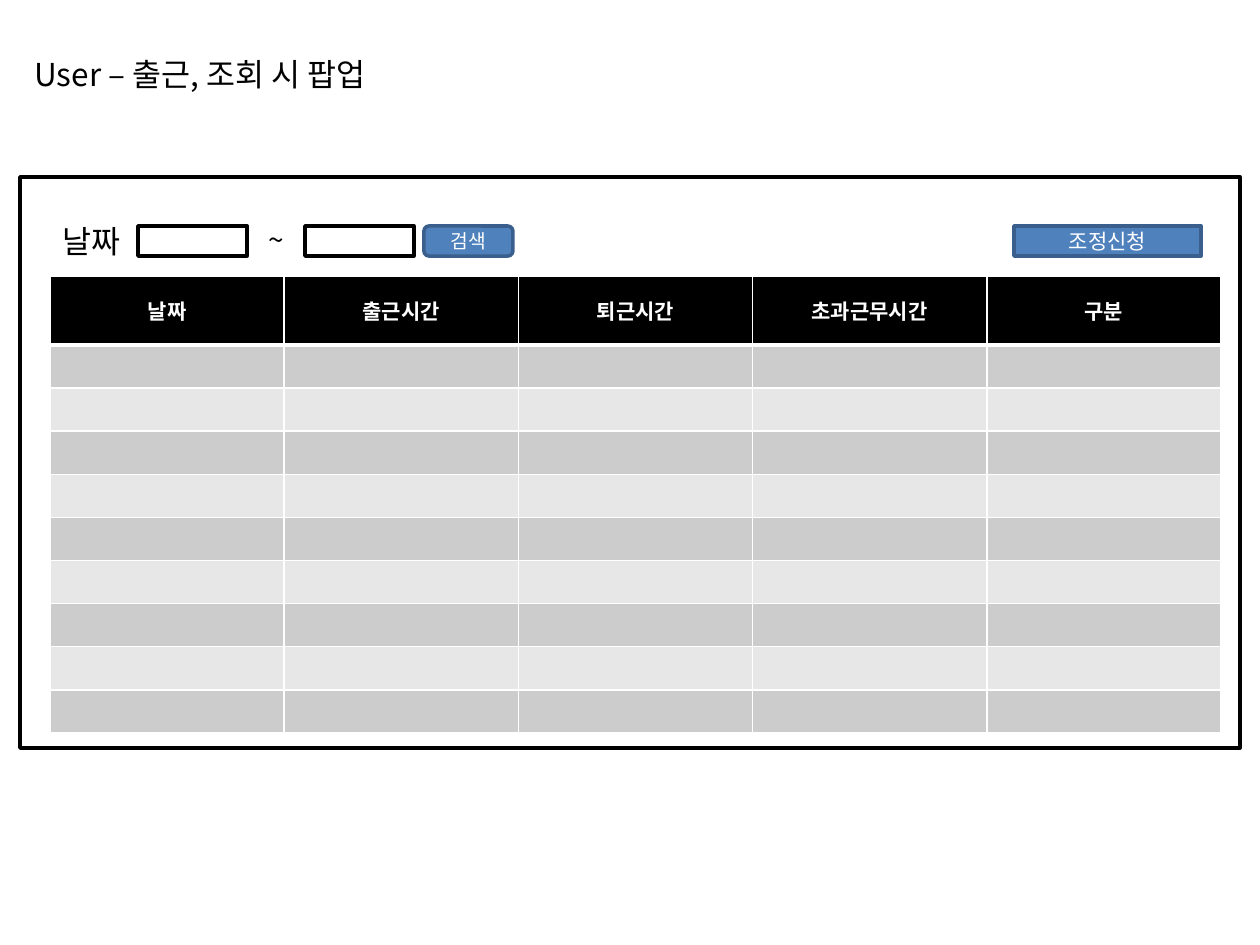
import lxml.etree
import pptx
import pptx.dml.color
import pptx.enum.shapes
import pptx.enum.text
import pptx.oxml.ns
import pptx.util

PX = 914400 / 126
FONT = "Noto Sans CJK KR"
COLORS = {
    "black": "000000",
    "white": "FFFFFF",
    "button": "4F81BD",
    "button edge": "3A5F8C",
    "odd row": "CCCCCC",
    "even row": "E7E7E7",
}
HEADINGS = ["날짜", "출근시간", "퇴근시간", "초과근무시간", "구분"]
BODY_ROWS = 9
RECTANGLE = pptx.enum.shapes.MSO_SHAPE.RECTANGLE
ROUNDED = pptx.enum.shapes.MSO_SHAPE.ROUNDED_RECTANGLE
CENTER = pptx.enum.text.PP_ALIGN.CENTER
MIDDLE = pptx.enum.text.MSO_ANCHOR.MIDDLE


def emu(*lengths):
    return [pptx.util.Emu(round(length * PX)) for length in lengths]


def rgb(name):
    return pptx.dml.color.RGBColor.from_string(COLORS[name])


def child(parent, tag, **attributes):
    return lxml.etree.SubElement(parent, pptx.oxml.ns.qn(tag), attributes)


def write(para, text, size, color, bold=False):
    para.text = text
    font = para.font
    font.size = pptx.util.Pt(size)
    font.name = FONT
    font.bold = bold
    font.color.rgb = rgb(color)
    child(font._element, "a:ea", typeface=FONT)


def add_label(page, box, text, size):
    label = page.shapes.add_textbox(*emu(*box))
    frame = label.text_frame
    frame.word_wrap = False
    frame.auto_size = pptx.enum.text.MSO_AUTO_SIZE.SHAPE_TO_FIT_TEXT
    write(frame.paragraphs[0], text, size, "black")


def add_box(page, box, fill=None, edge="black", kind=RECTANGLE):
    shape = page.shapes.add_shape(kind, *emu(*box))
    shape.shadow.inherit = False
    if fill:
        shape.fill.solid()
        shape.fill.fore_color.rgb = rgb(fill)
    else:
        shape.fill.background()
    shape.line.color.rgb = rgb(edge)
    shape.line.width = pptx.util.Pt(2)
    return shape


def add_button(page, box, text, size, kind=RECTANGLE):
    button = add_box(page, box, "button", "button edge", kind)
    frame = button.text_frame
    frame.vertical_anchor = MIDDLE
    para = frame.paragraphs[0]
    para.alignment = CENTER
    write(para, text, size, "white")


def style_cell(cell, fill, bottom=1):
    """Fill a cell and give it white borders; bottom is in points."""
    cell.fill.solid()
    cell.fill.fore_color.rgb = rgb(fill)
    properties = cell._tc.get_or_add_tcPr()
    widths = {"a:lnL": 1, "a:lnR": 1, "a:lnT": 1, "a:lnB": bottom}
    for position, (tag, width) in enumerate(widths.items()):
        border = child(properties, tag, w=str(pptx.util.Pt(width)))
        child(child(border, "a:solidFill"), "a:srgbClr", val=COLORS["white"])
        properties.insert(position, border)


def add_attendance_table(page, box, header_height):
    left, top, width, height = box
    graphic = page.shapes.add_table(BODY_ROWS + 1, len(HEADINGS), *emu(*box))
    table = graphic.table
    table.horz_banding = False
    for column in table.columns:
        column.width = emu(width / len(HEADINGS))[0]
    for row in table.rows:
        row.height = emu((height - header_height) / BODY_ROWS)[0]
    table.rows[0].height = emu(header_height)[0]

    for column, heading in enumerate(HEADINGS):
        cell = table.cell(0, column)
        style_cell(cell, "black", bottom=3)
        cell.vertical_anchor = MIDDLE
        para = cell.text_frame.paragraphs[0]
        para.alignment = CENTER
        write(para, heading, 12, "white", bold=True)
        for row in range(1, BODY_ROWS + 1):
            cell = table.cell(row, column)
            style_cell(cell, "odd row" if row % 2 else "even row")
            para = cell.text_frame.paragraphs[0]
            ending = child(para._p, "a:endParaRPr", sz="1200")
            child(ending, "a:latin", typeface=FONT)
            child(ending, "a:ea", typeface=FONT)


def add_search_bar(page, box):
    left, top, width, height = box
    control_top = top + 10
    add_label(page, (left, top, 89, 50), "날짜", 18)
    for offset in (88, 255):
        add_box(page, (left + offset, control_top, 109, height), "white")
    add_label(page, (left + 206, top, 45, 47), "~", 16)
    add_button(page, (left + 374, control_top, 89, height), "검색", 11, ROUNDED)
    add_button(page, (left + width - 187, control_top, 187, height), "조정신청", 12)


def add_popup(page, box):
    left, top, width, height = box
    add_box(page, box)
    add_attendance_table(page, (left + 30, top + 99, 1171, 423), 69)
    add_search_bar(page, (left + 30, top + 39, 1151, 30))


def main():
    deck = pptx.Presentation()
    deck.slide_width, deck.slide_height = emu(1260, 945)
    page = deck.slides.add_slide(deck.slide_layouts[6])
    add_popup(page, (20, 177, 1220, 571))
    add_label(page, (22, 49, 392, 50), "User – 출근, 조회 시 팝업", 18)
    deck.save("out.pptx")


if __name__ == "__main__":
    main()
